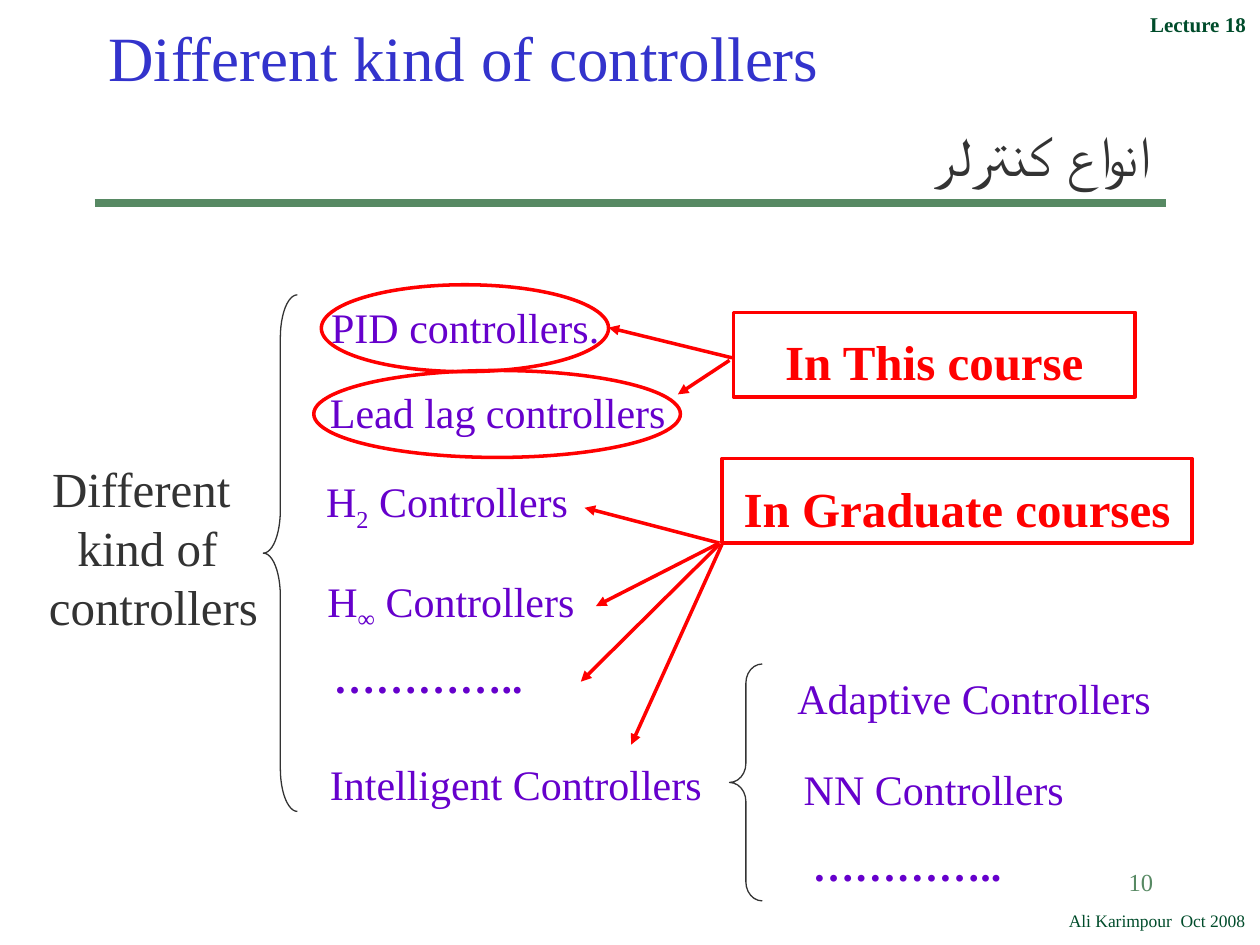
from dataclasses import dataclass

from lxml import etree
from pptx import Presentation
from pptx.dml.color import RGBColor
from pptx.enum.shapes import MSO_CONNECTOR, MSO_SHAPE
from pptx.enum.text import MSO_ANCHOR, PP_ALIGN
from pptx.oxml.ns import qn
from pptx.util import Inches, Pt

LEFT, CENTER, RIGHT = PP_ALIGN.LEFT, PP_ALIGN.CENTER, PP_ALIGN.RIGHT
TOP, BOTTOM = MSO_ANCHOR.TOP, MSO_ANCHOR.BOTTOM
RECTANGLE, OVAL, BRACE = MSO_SHAPE.RECTANGLE, MSO_SHAPE.OVAL, MSO_SHAPE.LEFT_BRACE
STRAIGHT = MSO_CONNECTOR.STRAIGHT

COLUMNS, ROWS = 100, 75
CELL = Inches(0.1)
LABEL_ROWS = 5.3


@dataclass(frozen=True)
class Theme:
    font: str = "Times New Roman"
    title: str = "3333CC"
    body: str = "333333"
    item: str = "6600CC"
    accent: str = "FF0000"
    rule: str = "578963"
    credit: str = "004C2B"
    title_size: float = 36
    subtitle_size: float = 32
    heading_size: float = 28
    item_size: float = 24
    page_size: float = 14
    lecture_size: float = 12
    credit_size: float = 10
    rule_width: float = 4.5
    accent_width: float = 2
    brace_width: float = 0.75


THEME = Theme()


@dataclass(frozen=True)
class Box:
    """A region of the slide, measured in grid cells."""
    column: float
    row: float
    columns: float
    rows: float

    def area(self, column, row, columns, rows):
        return Box(self.column + column, self.row + row, columns, rows)

    def point(self, column, row):
        return round((self.column + column) * CELL), round((self.row + row) * CELL)

    def emu(self):
        return [round(n * CELL) for n in (self.column, self.row, self.columns, self.rows)]


def rgb(color):
    return RGBColor.from_string(color)


def write(frame, runs, size, color, align=LEFT, anchor=BOTTOM, bold=False, wrap=True):
    """Fill a frame with runs; a (text, True) pair is a subscript, None a line break."""
    frame.word_wrap = wrap
    frame.vertical_anchor = anchor
    paragraph = frame.paragraphs[0]
    paragraph.alignment = align
    for piece in runs:
        if piece is None:
            paragraph.add_line_break()
            continue
        text, subscript = piece if isinstance(piece, tuple) else (piece, False)
        run = paragraph.add_run()
        run.text = text
        font = run.font
        font.name, font.size, font.bold = THEME.font, Pt(size), bold
        font.color.rgb = rgb(color)
        if subscript:
            font._element.set("baseline", "-25000")
    return paragraph


def add_text(slide, box, runs, size, color, **style):
    return write(slide.shapes.add_textbox(*box.emu()).text_frame, runs, size, color, **style)


def add_outline(slide, kind, box, color, width):
    shape = slide.shapes.add_shape(kind, *box.emu())
    shape.shadow.inherit = False
    shape.fill.background()
    shape.line.color.rgb = rgb(color)
    shape.line.width = Pt(width)
    return shape


def add_line(slide, start, end, color, width, arrow=False):
    line = slide.shapes.add_connector(STRAIGHT, *start, *end)
    line.line.color.rgb = rgb(color)
    line.line.width = Pt(width)
    if arrow:
        etree.SubElement(line.line._get_or_add_ln(), qn("a:tailEnd"), type="triangle")
    etree.SubElement(line._element.spPr, qn("a:effectLst"))


def add_brace(slide, box, curl):
    """Draw a left brace; curl is its corner height as a share of its width."""
    brace = add_outline(slide, BRACE, box, THEME.body, THEME.brace_width)
    brace.adjustments[0] = curl


def add_items(slide, box, columns, items):
    for column, row, runs, bold in items:
        add_text(slide, box.area(column, row, columns, LABEL_ROWS), runs,
                 THEME.item_size, THEME.item, bold=bold)


def header(slide, box):
    add_text(slide, box.area(90.3, 0.4, 9.6, 3), ["Lecture 18"],
             THEME.lecture_size, THEME.credit, anchor=TOP, bold=True, wrap=False)
    add_text(slide, box.area(7, 1.5, 59.6, 6.5), ["Different kind of controllers"],
             THEME.title_size, THEME.title, align=CENTER)
    subtitle = add_text(slide, box.area(51.3, 8.7, 40.9, 6.7), ["انواع کنترلر"],
                        THEME.subtitle_size, THEME.body, align=RIGHT)
    subtitle._p.get_or_add_pPr().set("rtl", "1")
    script_font = etree.SubElement(subtitle.runs[0].font._element, qn("a:cs"))
    script_font.set("typeface", THEME.font)
    add_line(slide, box.point(7.5, 16.1), box.point(92.5, 16.1), THEME.rule, THEME.rule_width)


def controller_kinds(slide, box):
    add_text(slide, box.area(0, 13.6, 20.8, 15), ["Different ", None, "kind of", None, " controllers"],
             THEME.heading_size, THEME.body, align=CENTER)
    add_brace(slide, box.area(19.6, 1.1, 2.7, 41), 1.26)
    add_items(slide, box, 35.5, [
        (24, 0.8, ["PID controllers."], False),
        (23.9, 7.6, ["Lead lag controllers"], False),
        (23.6, 15.2, ["H", ("2", True), " Controllers"], False),
        (23.7, 23.1, ["H", ("∞", True), " Controllers"], False),
        (24.2, 28.6, ["………….."], True),
        (23.9, 37.1, ["Intelligent Controllers"], False),
    ])
    for ring in ((24.2, 0.3, 22.8, 6.9), (23.6, 7.1, 29.1, 6.9)):
        add_outline(slide, OVAL, box.area(*ring), THEME.accent, THEME.accent_width)


def intelligent_kinds(slide, box):
    add_brace(slide, box.area(0, 0, 2.6, 18.8), 0.58)
    add_items(slide, box, 35.5, [
        (4.4, -0.1, ["Adaptive Controllers"], False),
        (4.9, 7.1, ["NN Controllers"], False),
        (5.6, 13.1, ["………….."], True),
    ])


def course_note(slide, box, text, arrows):
    """Frame a course name and point from it; arrow ends are relative to the frame."""
    frame = add_outline(slide, RECTANGLE, box, THEME.accent, THEME.accent_width)
    write(frame.text_frame, [text], THEME.heading_size, THEME.accent, align=CENTER, bold=True)
    for start, end in arrows:
        add_line(slide, box.point(*start), box.point(*end),
                 THEME.accent, THEME.accent_width, arrow=True)


def footer(slide, box):
    page = add_text(slide, box.area(71.7, 0, 20.8, 5), ["10"],
                    THEME.page_size, THEME.rule, align=RIGHT, anchor=TOP)
    page.space_before = Pt(8.8)
    add_text(slide, box.area(83.5, 3.4, 16.3, 2.7), ["Ali Karimpour  Oct 2008"],
             THEME.credit_size, THEME.credit, align=RIGHT, anchor=TOP, wrap=False)


def main():
    deck = Presentation()
    deck.slide_width, deck.slide_height = COLUMNS * CELL, ROWS * CELL
    slide = deck.slides.add_slide(deck.slide_layouts[6])
    header(slide, Box(0, 0, COLUMNS, 18))
    controller_kinds(slide, Box(1.3, 22.3, 60, 44))
    intelligent_kinds(slide, Box(57.9, 52.7, 40, 19))
    course_note(slide, Box(58.2, 24.8, 31.9, 6.7), "In This course",
                [((-0.1, 3.6), (-9.9, 1.2)), ((-0.3, 3.8), (-4.4, 6.5))])
    course_note(slide, Box(57.3, 36.4, 37.3, 6.7), "In Graduate courses",
                [((-0.2, 6.7), (-10.9, 3.9)), ((-0.2, 6.7), (-10, 11.7)),
                 ((-0.2, 6.8), (-11.2, 17.7)), ((0, 6.8), (-7.2, 22.7))])
    footer(slide, Box(0, 68.3, COLUMNS, 6.7))
    deck.save("out.pptx")


if __name__ == "__main__":
    main()
